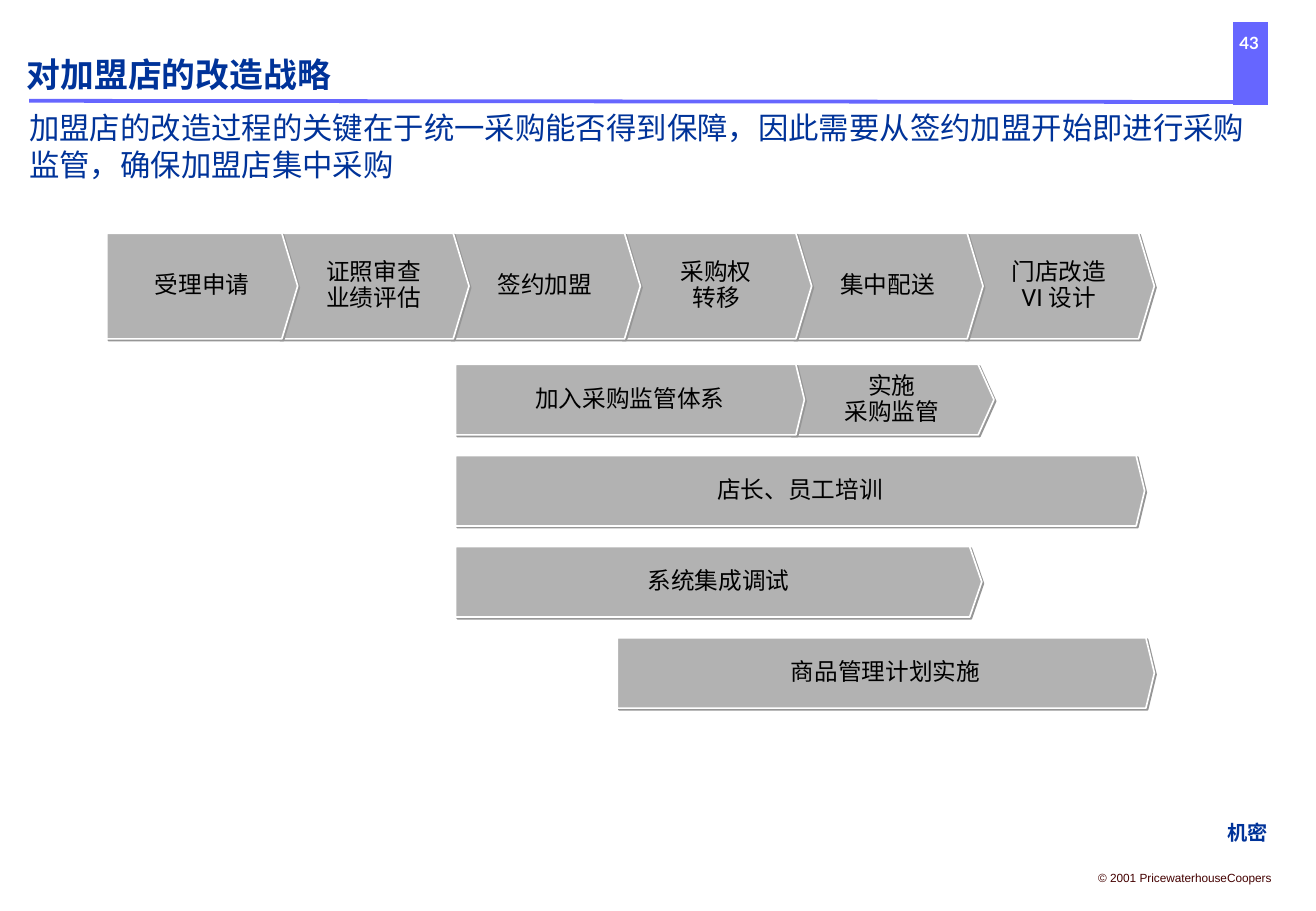
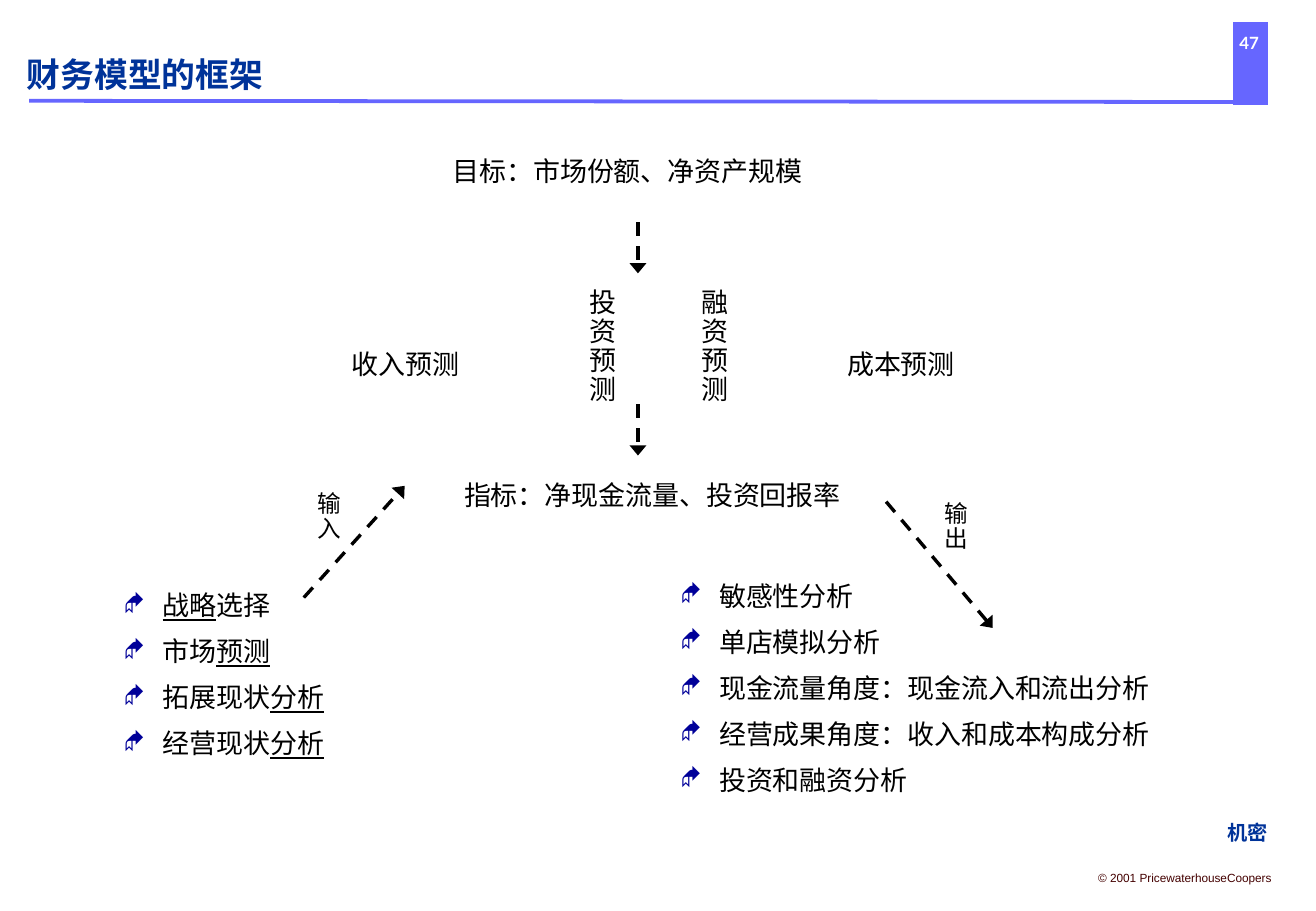
from dataclasses import dataclass

from lxml import etree
from pptx import Presentation
from pptx.dml.color import RGBColor
from pptx.enum.dml import MSO_LINE_DASH_STYLE as Dash
from pptx.enum.shapes import MSO_CONNECTOR as Connector, MSO_SHAPE as Shape
from pptx.enum.text import MSO_ANCHOR as Anchor, PP_ALIGN as Align
from pptx.oxml.ns import qn
from pptx.util import Inches, Pt


@dataclass(frozen=True)
class Theme:
    band: str = "6666FF"
    heading: str = "003399"
    bullet: str = "000099"
    text: str = "000000"
    paper: str = "FFFFFF"
    step: str = "B2B2B2"
    shadow: str = "969696"
    copyright: str = "440000"
    body_font: str = "Roboto"
    title_font: str = "Noto Sans CJK SC"
    number_font: str = "Lato"
    footer_font: str = "Arial"
    bullet_font: str = "Wingdings"
    title_size: float = 20
    lead_size: float = 18
    body_size: float = 16
    label_size: float = 14
    mark_size: float = 12
    number_size: float = 10
    copyright_size: float = 7


THEME = Theme()
PADDING = (0.1, 0.05, 0.1, 0.05)
NO_PADDING = (0, 0, 0, 0)


# Shared helpers
def add_tag(parent, tag, **attributes):
    return etree.SubElement(parent, qn(f"a:{tag}"), attributes)


def color(value):
    return RGBColor.from_string(value)


def set_font(para, size, name=THEME.body_font, fill=THEME.text, bold=False):
    font = para.font
    font.size, font.bold, font.name = Pt(size), bold, name
    font.color.rgb = color(fill)
    defaults = para._p.get_or_add_pPr().find(qn("a:defRPr"))
    add_tag(defaults, "ea", typeface=THEME.title_font)


def set_frame(frame, anchor=Anchor.TOP, padding=PADDING, wrap=True):
    frame.word_wrap = wrap
    frame.vertical_anchor = anchor
    (frame.margin_left, frame.margin_top,
     frame.margin_right, frame.margin_bottom) = map(Inches, padding)


def add_text(page, box, text, size, align=Align.LEFT, anchor=Anchor.TOP,
             padding=PADDING, wrap=True, spacing=None, back=None, **font):
    label = page.shapes.add_textbox(*map(Inches, box))
    if back:
        label.fill.solid()
        label.fill.fore_color.rgb = color(back)
    set_frame(label.text_frame, anchor, padding, wrap)
    para = label.text_frame.paragraphs[0]
    para.text, para.alignment, para.line_spacing = text, align, spacing
    set_font(para, size, **font)


def add_line(page, start, end, fill, width):
    line = page.shapes.add_connector(Connector.STRAIGHT, *map(Inches, start + end))
    line.line.color.rgb, line.line.width = color(fill), Pt(width)
    add_tag(line._element.spPr, "effectLst")
    return line


# Page frame: title, band, number and footers
def add_frame(page, box, title, number):
    left, top, width, height = box
    right, bottom = left + width, top + height
    tab = page.shapes.add_shape(
        Shape.RECTANGLE, *map(Inches, (right - 0.67, top + 0.2, 0.26, 0.65)))
    tab.shadow.inherit = False
    tab.fill.solid()
    tab.fill.fore_color.rgb = tab.line.color.rgb = color(THEME.band)
    tab.line.width = Pt(2.25)
    add_tag(tab.line._get_or_add_ln(), "miter", lim="800000")
    add_line(page, (left + 0.24, top + 0.83), (right - 0.55, top + 0.84),
             THEME.band, 2.25)
    add_text(page, (left + 0.22, top + 0.18, 9.71, 0.6), title, THEME.title_size,
             anchor=Anchor.BOTTOM, padding=NO_PADDING,
             name=THEME.title_font, fill=THEME.heading, bold=True)
    notes = [
        ((right - 0.9, top + 0.25, 0.7, 0.2), number, THEME.number_size,
         THEME.number_font, THEME.paper, True),
        ((right - 0.83, bottom - 0.8, 0.53, 0.3), "机密", THEME.mark_size,
         THEME.footer_font, THEME.heading, True),
        ((right - 1.89, bottom - 0.38, 1.62, 0.22), "© 2001 PricewaterhouseCoopers",
         THEME.copyright_size, THEME.footer_font, THEME.copyright, False),
    ]
    for place, text, size, name, fill, bold in notes:
        add_text(page, place, text, size, Align.CENTER, Anchor.MIDDLE, NO_PADDING,
                 wrap=False, name=name, fill=fill, bold=bold)


# Process steps
def add_step(page, box, tip, lines):
    step = page.shapes.add_shape(Shape.PENTAGON, *map(Inches, box))
    step.adjustments[0] = tip / min(box[2:])
    step.fill.solid()
    step.fill.fore_color.rgb = color(THEME.step)
    step.line.color.rgb, step.line.width = color(THEME.paper), Pt(1)
    effects = add_tag(step._element.spPr, "effectLst")
    shadow = add_tag(effects, "outerShdw", dist=str(Pt(1.4)), dir="2700000",
                     algn="ctr", rotWithShape="0")
    add_tag(shadow, "srgbClr", val=THEME.shadow)
    frame = step.text_frame
    # The smaller right margin centres the text over the whole outline
    set_frame(frame, Anchor.MIDDLE, (0.1, 0.05, 0.1 - tip / 2, 0.05), wrap=False)
    for index, line in enumerate(lines):
        para = frame.paragraphs[0] if index == 0 else frame.add_paragraph()
        para.text, para.alignment, para.line_spacing = line, Align.CENTER, 0.9
        set_font(para, THEME.label_size)


def add_stages(page, box, stages):
    left, top, width, height = box
    overlap = 0.16
    pitch = (width - overlap) / len(stages)
    # Right to left, so that each tip lies over the next step
    for index, lines in reversed(list(enumerate(stages))):
        add_step(page, (left + index * pitch, top, pitch + overlap, height), 0.13, lines)


def add_tracks(page, box, tracks):
    left, top, _, height = box
    pitch = height / 4
    for row, offset, width, tip, lines in tracks:
        add_step(page, (left + offset, top + row * pitch, width, 0.58), tip, lines)


# Financial model parts
def add_arrow(page, start, end, tip):
    arrow = add_line(page, start, end, THEME.text, 2)
    arrow.line.dash_style = Dash.DASH
    add_tag(arrow.line._get_or_add_ln(), tip, type="triangle", w="lg", len="med")


def add_bullets(page, box, items):
    frame = page.shapes.add_textbox(*map(Inches, box)).text_frame
    set_frame(frame)
    for index, spans in enumerate(items):
        para = frame.paragraphs[0] if index == 0 else frame.add_paragraph()
        properties = para._p.get_or_add_pPr()
        properties.set("marL", str(Inches(0.32)))
        properties.set("indent", str(-Inches(0.32)))
        add_tag(add_tag(properties, "buClr"), "srgbClr", val=THEME.bullet)
        add_tag(properties, "buSzPct", val="90000")
        add_tag(properties, "buFont", typeface=THEME.bullet_font)
        add_tag(properties, "buChar", char="◆")
        para.line_spacing = 0.9
        if index:
            para.space_before = Pt(10)
        set_font(para, THEME.body_size)
        for text, underlined in spans:
            span = para.add_run()
            span.text = text
            if underlined:
                span.font.underline = True


def add_model(page, box):
    left, top = box[:2]
    # Goal, forecasts, indicators and arrow captions
    labels = [
        (2.58, 0, 3.33, 0.34, "目标：市场份额、净资产规模", None),
        (1.83, 1.59, 1.17, 0.34, "收入预测", None),
        (3.83, 1.08, 0.42, 1.06, "投资预测", THEME.paper),
        (4.75, 1.08, 0.42, 1.06, "融资预测", THEME.paper),
        (5.83, 1.59, 1.33, 0.34, "成本预测", THEME.paper),
        (2.66, 2.67, 3.58, 0.34, "指标：净现金流量、投资回报率", None),
    ]
    captions = [(1.5, 2.75, 0.58, 0.52, "输入", None),
                (6.66, 2.83, 0.58, 0.52, "输出", None)]
    for group, size, anchor in ((labels, THEME.body_size, Anchor.TOP),
                                (captions, THEME.label_size, Anchor.MIDDLE)):
        for x, y, width, height, text, back in group:
            add_text(page, (left + x, top + y, width, height), text, size,
                     Align.CENTER, anchor, spacing=0.9, back=back)
    # Flow arrows
    for x1, y1, x2, y2, tip in ((4.33, 0.58, 4.33, 1, "tailEnd"),
                                (4.33, 2.08, 4.33, 2.5, "tailEnd"),
                                (1.58, 3.67, 2.41, 2.75, "tailEnd"),
                                (7.25, 3.92, 6.33, 2.83, "headEnd")):
        add_arrow(page, (left + x1, top + y1), (left + x2, top + y2), tip)
    # Inputs and outputs
    add_bullets(page, (left, top + 3.58, 2.83, 1.48), [
        [("战略", True), ("选择", False)],
        [("市场", False), ("预测", True)],
        [("拓展现状", False), ("分析", True)],
        [("经营现状", False), ("分析", True)],
    ])
    outputs = ["敏感性分析", "单店模拟分析", "现金流量角度：现金流入和流出分析",
               "经营成果角度：收入和成本构成分析", "投资和融资分析"]
    add_bullets(page, (left + 4.58, top + 3.5, 5.08, 1.86),
                [[(text, False)] for text in outputs])


# Slides
def build_strategy(page, box):
    add_frame(page, box, "对加盟店的改造战略", "43")
    add_text(page, (0.24, 0.83, 10.17, 0.67),
             "加盟店的改造过程的关键在于统一采购能否得到保障，"
             "因此需要从签约加盟开始即进行采购监管，确保加盟店集中采购",
             THEME.lead_size, anchor=Anchor.BOTTOM, padding=NO_PADDING,
             name=THEME.title_font, fill=THEME.heading)
    add_stages(page, (0.88, 1.92, 8.62, 0.87), [
        ["受理申请"], ["证照审查", "业绩评估"], ["签约加盟"],
        ["采购权", "转移"], ["集中配送"], ["门店改造", "VI 设计"],
    ])
    add_tracks(page, (3.75, 3, 5.75, 3), [
        (0, 2.75, 1.68, 0.13, ["实施", "采购监管"]),
        (0, 0, 2.87, 0.07, ["加入采购监管体系"]),
        (1, 0, 5.67, 0.07, ["店长、员工培训"]),
        (2, 0, 4.33, 0.1, ["系统集成调试"]),
        (3, 1.33, 4.42, 0.07, ["商品管理计划实施"]),
    ])


def build_finance(page, box):
    add_frame(page, box, "财务模型的框架", "47")
    add_model(page, (0.92, 1.25, 9.66, 5.36))


def main():
    deck = Presentation()
    width, height = 10.83, 7.5
    deck.slide_width, deck.slide_height = Inches(width), Inches(height)
    for build in (build_strategy, build_finance):
        build(deck.slides.add_slide(deck.slide_layouts[6]), (0, 0, width, height))
    deck.save("out.pptx")


if __name__ == "__main__":
    main()
